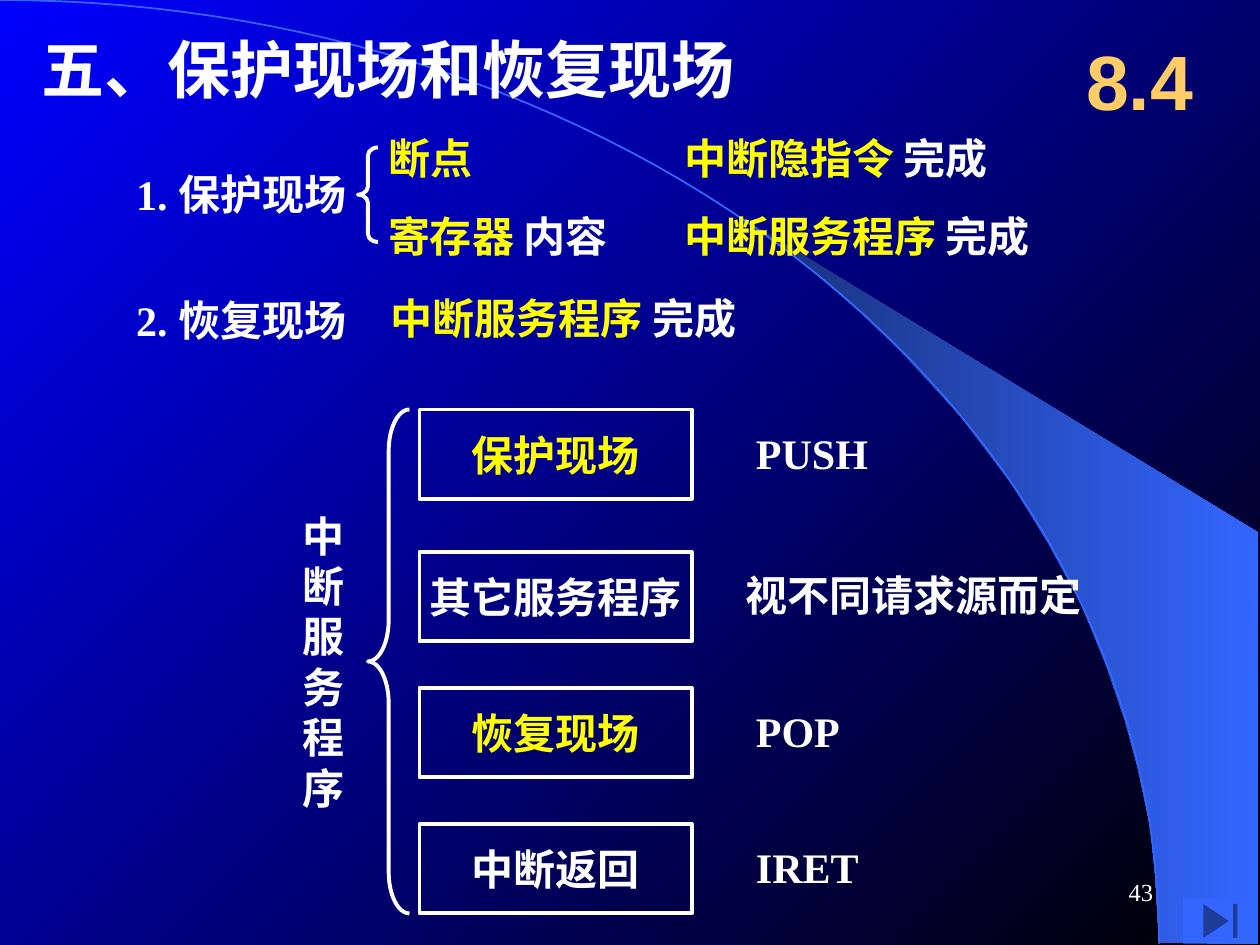
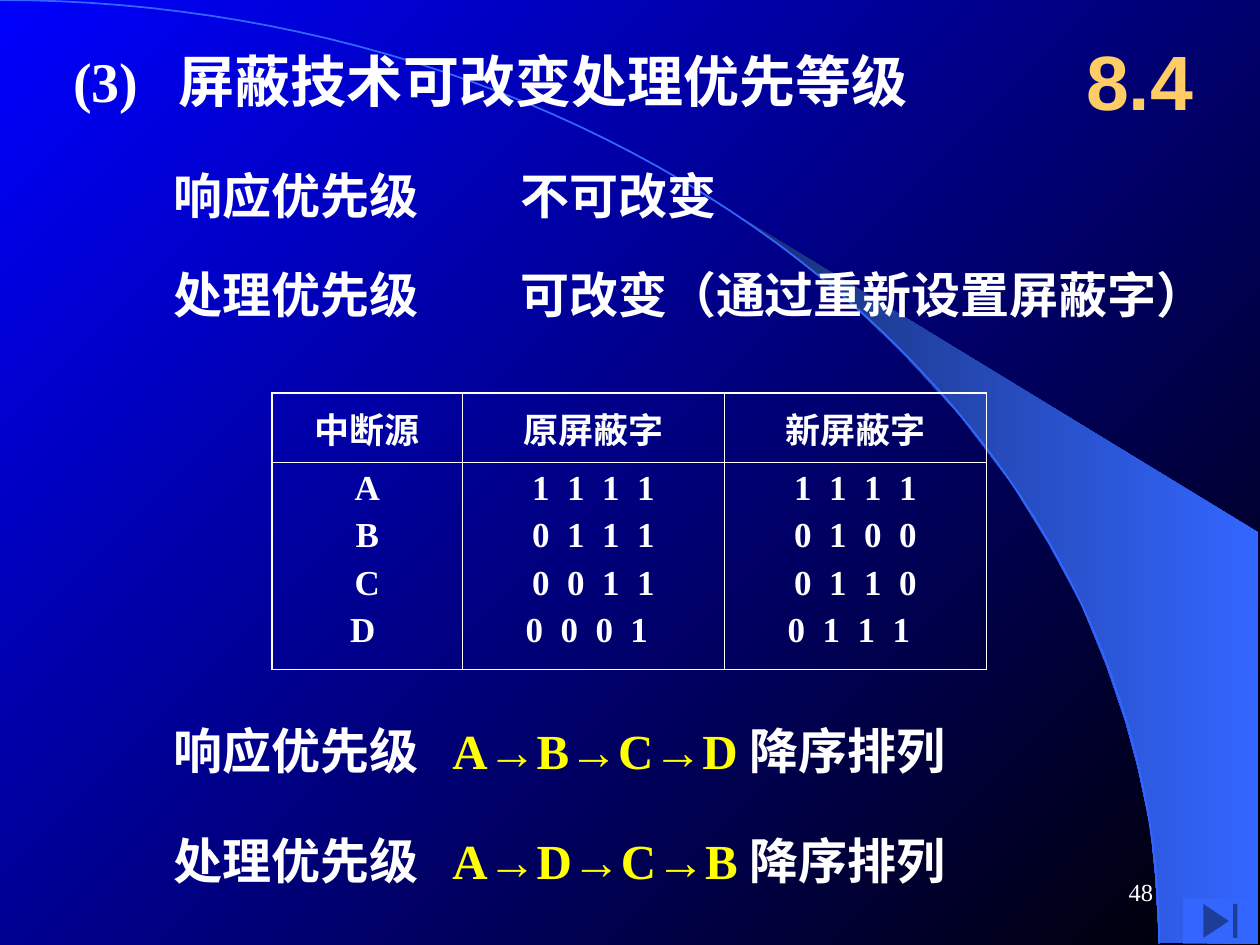
from math import cos, pi, sin

from lxml.etree import SubElement
from pptx import Presentation
from pptx.dml.color import RGBColor
from pptx.enum.shapes import MSO_SHAPE as Preset
from pptx.enum.text import MSO_ANCHOR as Anchor
from pptx.enum.text import MSO_AUTO_SIZE as AutoSize
from pptx.enum.text import PP_ALIGN as Align
from pptx.oxml.ns import qn
from pptx.util import Inches, Pt

COLORS = {
    "white": "FFFFFF",
    "yellow": "FFFF00",
    "gold": "FFCC66",
    "blue": "0000FF",
    "black": "000000",
    "wedge_dark": "182F76",
    "accent": "3366FF",
}
SERIF = "Times New Roman"
SECTION = "8.4"

SWEEP_WIDTH, SWEEP_HEIGHT = 9.2, 7.49
WEDGE = [
    (9.2, 7.48), (9.99, 7.49), (9.99, 4.23), (5.89, 1.73), (6.24, 1.99),
    (6.53, 2.22), (6.85, 2.5), (7.16, 2.8), (7.62, 3.3), (8.03, 3.84),
    (8.32, 4.31), (8.58, 4.79), (8.78, 5.28), (8.93, 5.72), (9.03, 6.09),
    (9.13, 6.56), (9.17, 6.96),
]

SAVE_TITLE = "五、保护现场和恢复现场"
SAVE_POINTS = [
    ("1. 保护现场", (1.08, 1.25, 1.92, 0.58)),
    ("2. 恢复现场", (1.08, 2.25, 2, 0.58)),
    ([("断点", "yellow")], (3.08, 1, 1.08, 0.5)),
    ([("寄存器 ", "yellow"), ("内容", "white")], (3.08, 1.58, 2.17, 0.58)),
    ([("中断隐指令 ", "yellow"), ("完成", "white")], (5.43, 1, 3.48, 0.5)),
    ([("中断服务程序 ", "yellow"), ("完成", "white")], (5.43, 1.58, 4.17, 0.58)),
    ([("中断服务程序 ", "yellow"), ("完成", "white")], (3.1, 2.27, 3.23, 0.5)),
]
ROUTINE = "中断服务程序"
ROUTINE_STEPS = [
    ("保护现场", "yellow", 3.25, "PUSH", 6),
    ("其它服务程序", "white", 4.38, "视不同请求源而定", 5.92),
    ("恢复现场", "yellow", 5.46, "POP", 6),
    ("中断返回", "white", 6.54, "IRET", 6),
]
BRACES = [((2.84, 1.17, 0.16, 0.75), 0.4), ((2.92, 3.25, 0.33, 4), 1)]

MASK_TITLE = "(3)\t屏蔽技术可改变处理优先等级"
PRIORITIES = [
    ("响应优先级", "不可改变", 1.31),
    ("处理优先级", "可改变（通过重新设置屏蔽字）", 2.1),
]
MASK_HEADERS = ["中断源", "原屏蔽字", "新屏蔽字"]
MASK_COLUMNS = [
    ["A", "B", "C", "D "],
    ["1 1 1 1", "0 1 1 1", "0 0 1 1", "0 0 0 1 "],
    ["1 1 1 1", "0 1 0 0", "0 1 1 0", "0 1 1 1 "],
]
MASK_WIDTHS = [1.51, 2.08, 2.08]
MASK_HEIGHTS = [0.55, 1.64]
ORDERS = [
    ("响应优先级", "A→B→C→D ", 5.72),
    ("处理优先级", "A→D→C→B ", 6.59),
]


def rgb(name):
    return RGBColor.from_string(COLORS[name])


def box(at):
    return [Inches(length) for length in at]


def write(frame, *paragraphs, size=24, color="white", font=SERIF, bold=True,
          align=Align.LEFT, before=0, tab=None, tracking=0):
    for index, content in enumerate(paragraphs):
        paragraph = frame.paragraphs[0] if index == 0 else frame.add_paragraph()
        paragraph.alignment = align
        if index and before:
            paragraph.space_before = Pt(before)
        if tab:
            stops = SubElement(paragraph._p.get_or_add_pPr(), qn("a:tabLst"))
            SubElement(stops, qn("a:tab"), pos=str(Inches(tab)), algn="l")
        runs = [(content, color)] if isinstance(content, str) else content
        for words, shade in runs:
            run = paragraph.add_run()
            run.text = words
            run.font.size = Pt(size)
            run.font.name = font
            run.font.bold = bold
            run.font.color.rgb = rgb(shade)
            if tracking:
                run._r.get_or_add_rPr().set("spc", str(round(tracking * 100)))


def fit(frame, margins=(0, 0.05), wrap=False, anchor=Anchor.MIDDLE):
    frame.auto_size = AutoSize.NONE
    frame.word_wrap = wrap
    frame.vertical_anchor = anchor
    frame.margin_left = frame.margin_right = Inches(margins[0])
    frame.margin_top = frame.margin_bottom = Inches(margins[1])
    return frame


def label(slide, content, at, margins=(0, 0.05), wrap=False, **style):
    frame = slide.shapes.add_textbox(*box(at)).text_frame
    write(fit(frame, margins, wrap), content, **style)


def add_preset(slide, kind, at, fill=None, line=None):
    shape = slide.shapes.add_shape(kind, *box(at))
    shape.shadow.inherit = False
    if fill:
        shape.fill.solid()
        shape.fill.fore_color.rgb = rgb(fill)
    else:
        shape.fill.background()
    if line:
        shape.line.color.rgb = rgb(line)
        shape.line.width = Pt(2.25)
    else:
        shape.line.fill.background()
    return shape


def add_outline(slide, points, close):
    emu = [(Inches(x), Inches(y)) for x, y in points]
    builder = slide.shapes.build_freeform(*emu[0])
    builder.add_line_segments(emu[1:], close=close)
    shape = builder.convert_to_shape()
    shape.shadow.inherit = False
    return shape


def blend(fill, start, end, angle):
    fill.gradient()
    fill.gradient_angle = angle
    for stop, name, position in zip(fill.gradient_stops, (start, end), (0, 1)):
        stop.color.rgb = rgb(name)
        stop.position = position


def decorate_layout(layout, slide):
    blend(layout.background.fill, "blue", "black", 315)
    wedge = add_outline(slide, WEDGE, True)
    blend(wedge.fill, "wedge_dark", "accent", 0)
    wedge.line.fill.background()
    angles = [pi / 2 * step / 60 for step in range(61)]
    sweep = add_outline(slide, [(SWEEP_WIDTH * sin(a), SWEEP_HEIGHT * (1 - cos(a)))
                                for a in angles], False)
    sweep.fill.background()
    sweep.line.color.rgb = rgb("accent")
    sweep.line.width = Pt(1)
    for shape in (wedge, sweep):
        layout.element.cSld.spTree.append(shape.element)


def set_title(slide, words, at, margins, **style):
    title = slide.shapes.title
    title.left, title.top, title.width, title.height = box(at)
    write(fit(title.text_frame, margins), words, **style)


def add_furniture(slide, number):
    label(slide, SECTION, (8.42, 0.17, 1.25, 0.92), (0.1, 0.05), True,
          size=44, color="gold", font="Arial", align=Align.CENTER)
    add_preset(slide, Preset.ACTION_BUTTON_END, (9.39, 7.13, 0.59, 0.36), fill="accent")
    label(slide, str(number), (7.17, 6.83, 2.08, 0.5), (0.1, 0.05), True,
          size=14, bold=False, align=Align.RIGHT)


def border_cell(cell, widths):
    properties = cell._tc.get_or_add_tcPr()
    for index, (side, width) in enumerate(zip("LRTB", widths)):
        edge = SubElement(properties, qn(f"a:ln{side}"), w=str(Pt(width)))
        fill = SubElement(edge, qn("a:solidFill"))
        SubElement(fill, qn("a:srgbClr"), val=COLORS["white"])
        properties.insert(index, edge)


def add_mask_table(slide):
    at = (2.16, 3.12, sum(MASK_WIDTHS), sum(MASK_HEIGHTS))
    table = slide.shapes.add_table(2, len(MASK_HEADERS), *box(at)).table
    table.first_row = table.horz_banding = False
    for row, height in zip(table.rows, MASK_HEIGHTS):
        row.height = Inches(height)
    thick, thin = 1.08, 0.45
    last = len(MASK_HEADERS) - 1
    for index, (header, values) in enumerate(zip(MASK_HEADERS, MASK_COLUMNS)):
        table.columns[index].width = Inches(MASK_WIDTHS[index])
        for row, lines in enumerate(([header], values)):
            cell = table.cell(row, index)
            cell.fill.background()
            cell.vertical_anchor = Anchor.TOP if row else Anchor.MIDDLE
            write(cell.text_frame, *lines, size=20, align=Align.CENTER, before=5,
                  tracking=2.5 if row and index else 0)
            border_cell(cell, (thin if index else thick,
                               thick if index == last else thin,
                               thin if row else thick, thin))


def build_save_slide(slide):
    set_title(slide, SAVE_TITLE, (0.33, 0.25, 6.92, 0.58), (0, 0.05), size=36)
    for content, at in SAVE_POINTS:
        label(slide, content, at)
    for at, curl in BRACES:
        brace = add_preset(slide, Preset.LEFT_BRACE, at, line="white")
        brace.adjustments[0] = curl
    for step, color, top, note, note_left in ROUTINE_STEPS:
        stage = add_preset(slide, Preset.RECTANGLE, (3.33, top, 2.16, 0.71), line="white")
        write(fit(stage.text_frame), step, color=color, align=Align.CENTER)
        label(slide, note, (note_left, top + 0.05, 2.83, 0.58))
    routine = slide.shapes.add_textbox(*box((2.3, 4, 0.53, 2.5))).text_frame
    write(fit(routine, (0.1, 0.05), anchor=Anchor.TOP), *ROUTINE)


def build_mask_slide(slide):
    set_title(slide, MASK_TITLE, (0.58, 0.36, 7.49, 0.55), (0, 0), size=32, tab=0.84)
    for priority, rule, top in PRIORITIES:
        label(slide, priority, (1.38, top, 2.34, 0.47), (0, 0), size=28)
        label(slide, rule, (4.13, top, 5.4, 0.47), (0, 0), size=28)
    add_mask_table(slide)
    for priority, order, top in ORDERS:
        label(slide, [(priority + "\t", "white"), (order, "yellow"), ("降序排列", "white")],
              (1.38, top, 7, 0.47), (0, 0), size=28, tab=2.21)


def main():
    deck = Presentation()
    deck.slide_width, deck.slide_height = Inches(10), Inches(7.5)
    layout = deck.slide_layouts[5]
    pages = [(43, build_save_slide), (48, build_mask_slide)]
    for index, (number, build) in enumerate(pages):
        slide = deck.slides.add_slide(layout)
        if index == 0:
            decorate_layout(layout, slide)
        build(slide)
        add_furniture(slide, number)
    deck.save("out.pptx")


if __name__ == "__main__":
    main()
